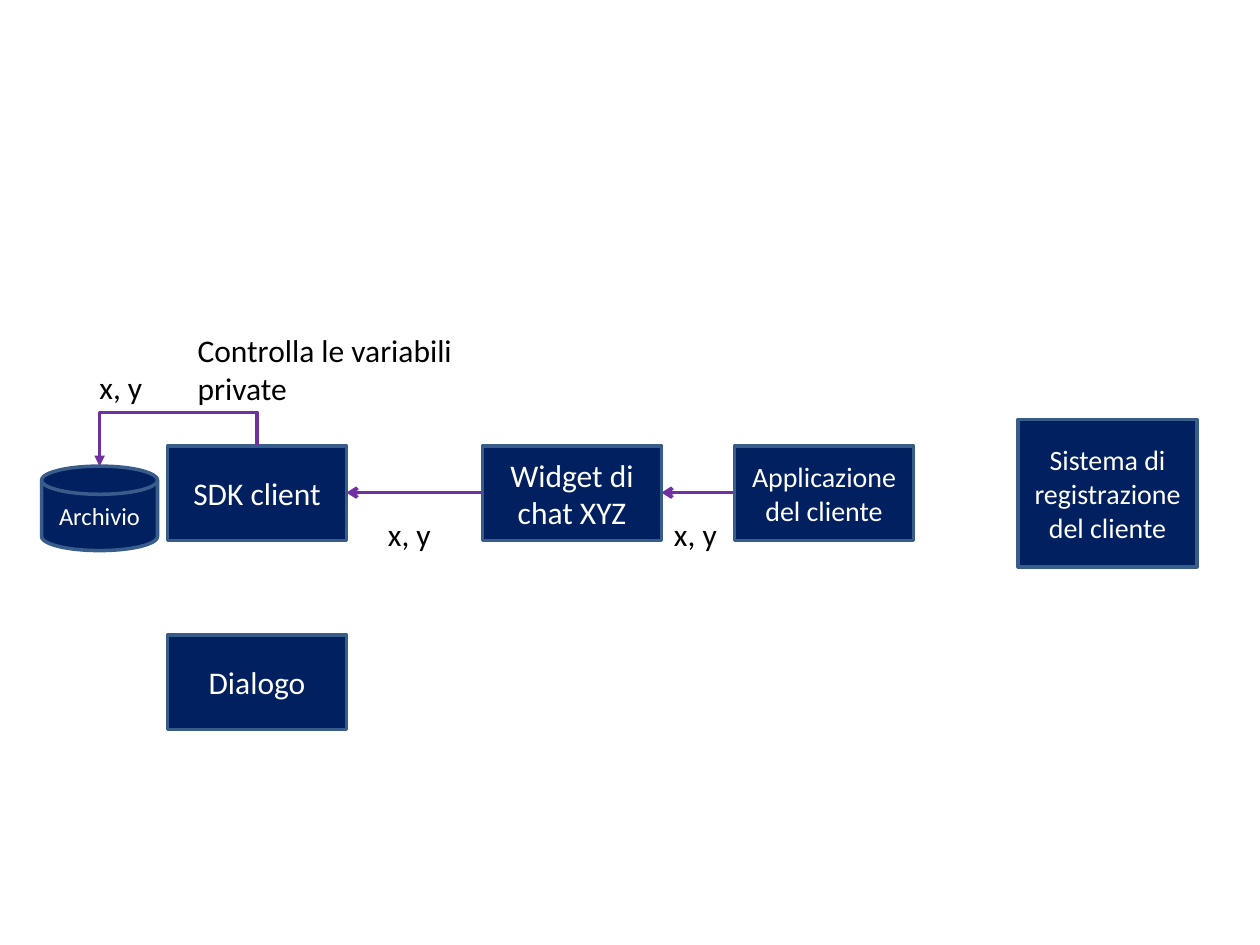
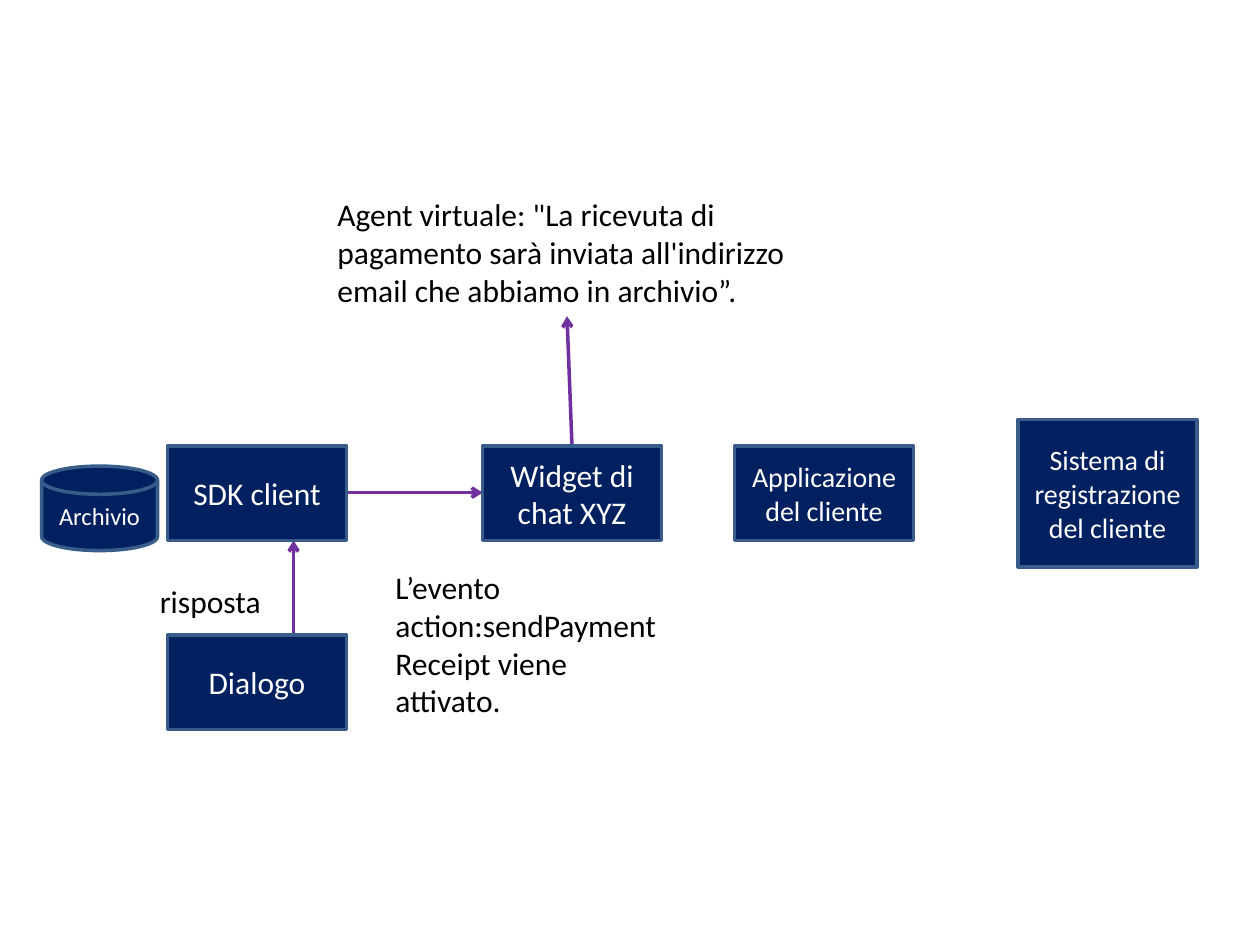
from lxml import etree
from pptx import Presentation
from pptx.dml.color import RGBColor
from pptx.enum.shapes import MSO_CONNECTOR, MSO_SHAPE
from pptx.enum.text import MSO_ANCHOR, MSO_AUTO_SIZE, PP_ALIGN
from pptx.oxml.ns import qn
from pptx.util import Inches, Pt

NAVY = RGBColor(0x00, 0x20, 0x60)
STEEL = RGBColor(0x38, 0x5D, 0x8A)
PURPLE = RGBColor(0x70, 0x30, 0xA0)
WHITE = RGBColor(0xFF, 0xFF, 0xFF)
BLACK = RGBColor(0x00, 0x00, 0x00)
FONT = "Calibri"

RECT, DISK = MSO_SHAPE.RECTANGLE, MSO_SHAPE.FLOWCHART_MAGNETIC_DISK
STRAIGHT, ELBOW = MSO_CONNECTOR.STRAIGHT, MSO_CONNECTOR.ELBOW
MIDDLE, TOP = MSO_ANCHOR.MIDDLE, MSO_ANCHOR.TOP
CENTER, LEFT = PP_ALIGN.CENTER, PP_ALIGN.LEFT
GROW = MSO_AUTO_SIZE.SHAPE_TO_FIT_TEXT

BOX_W, BOX_H = 1.42, 0.75
ROW_Y, DIALOG_Y = 3.54, 5.04
ARROW_Y = 3.91
CLIENT_X, WIDGET_X, APP_X, RECORD_X = 1.33, 3.83, 5.83, 8.08

# Components that stand on both slides: text, preset, left, top, width, height, size
COMPONENTS = [
    ("SDK client", RECT, CLIENT_X, ROW_Y, BOX_W, BOX_H, 18),
    ("Widget di chat XYZ", RECT, WIDGET_X, ROW_Y, BOX_W, BOX_H, 18),
    ("Applicazione del cliente", RECT, APP_X, ROW_Y, BOX_W, BOX_H, 16),
    ("Sistema di registrazione del cliente", RECT, RECORD_X, 3.33, BOX_W, 1.17, 16),
    ("Archivio", DISK, 0.33, 3.7, 0.92, 0.67, 14),
    ("Dialogo", RECT, CLIENT_X, DIALOG_Y, BOX_W, BOX_H, 18),
]

# Per slide, straight arrows: (from x, from y, to x, to y)
# and labels: (text, left, top, width, height, wrap)
STEPS = [
    {
        "arrows": [
            (APP_X, ARROW_Y, WIDGET_X + BOX_W, ARROW_Y),
            (WIDGET_X, ARROW_Y, CLIENT_X + BOX_W, ARROW_Y),
        ],
        "labels": [
            ("x, y", 5.25, 4.04, 0.58, 0.4, True),
            ("x, y", 2.98, 4.04, 0.58, 0.4, True),
            ("x, y", 0.69, 2.87, 0.65, 0.4, True),
            ("Controlla le variabili private", 1.47, 2.58, 2.33, 0.7, True),
        ],
        "stores_variables": True,
    },
    {
        "arrows": [
            (CLIENT_X + BOX_W, ARROW_Y, WIDGET_X, ARROW_Y),
            (2.33, DIALOG_Y, 2.33, ROW_Y + BOX_H),
            (WIDGET_X + BOX_W / 2, ROW_Y, 4.5, 2.51),
        ],
        "labels": [
            ("risposta", 1.17, 4.57, 1, 0.4, False),
            ("Agent virtuale: \"La ricevuta di\vpagamento sarà inviata all'indirizzo"
             "\vemail che abbiamo in archivio”.", 2.58, 1.5, 3.83, 1, False),
            ("L’evento action:sendPaymentReceipt viene attivato.",
             3.04, 4.46, 2.38, 1.3, True),
        ],
        "stores_variables": False,
    },
]


def write(shape, text, size=18, color=BLACK, align=LEFT, anchor=TOP, wrap=True):
    frame = shape.text_frame
    frame.word_wrap = wrap
    frame.vertical_anchor = anchor
    paragraph = frame.paragraphs[0]
    paragraph.text = text
    paragraph.alignment = align
    for run in paragraph.runs:
        run.font.name = FONT
        run.font.size = Pt(size)
        run.font.color.rgb = color


def add_arrow(slide, kind, ends, head):
    """Draw a purple connector with an arrowhead of type head at its end."""
    arrow = slide.shapes.add_connector(kind, *map(Inches, ends))
    arrow.line.color.rgb = PURPLE
    arrow.line.width = Pt(2)
    etree.SubElement(arrow.line._get_or_add_ln(), qn("a:tailEnd"), type=head)
    etree.SubElement(arrow._element.spPr, qn("a:effectLst"))
    return arrow


prs = Presentation()
prs.slide_width, prs.slide_height = Inches(10), Inches(7.5)

for step in STEPS:
    slide = prs.slides.add_slide(prs.slide_layouts[6])

    for ends in step["arrows"]:
        add_arrow(slide, STRAIGHT, ends, "arrow")

    for text, preset, left, top, width, height, size in COMPONENTS:
        component = slide.shapes.add_shape(
            preset, *map(Inches, (left, top, width, height)))
        component.shadow.inherit = False
        component.fill.solid()
        component.fill.fore_color.rgb = NAVY
        component.line.color.rgb = STEEL
        component.line.width = Pt(2)
        write(component, text, size=size, color=WHITE, align=CENTER, anchor=MIDDLE)

    for text, left, top, width, height, wrap in step["labels"]:
        label = slide.shapes.add_textbox(*map(Inches, (left, top, width, height)))
        write(label, text, wrap=wrap)
        label.text_frame.auto_size = GROW

    if step["stores_variables"]:
        # A quarter turn makes the elbow leave the client upwards and drop on the store
        to_store = add_arrow(slide, ELBOW, (1.33, 2.99, 1.5, 4.24), "triangle")
        properties = to_store._element.spPr
        properties.find(qn("a:xfrm")).set("rot", "5400000")
        geometry = properties.find(qn("a:prstGeom"))
        etree.SubElement(geometry.find(qn("a:avLst")), qn("a:gd"),
                         name="adj1", fmla="val -150000")

prs.save("out.pptx")
